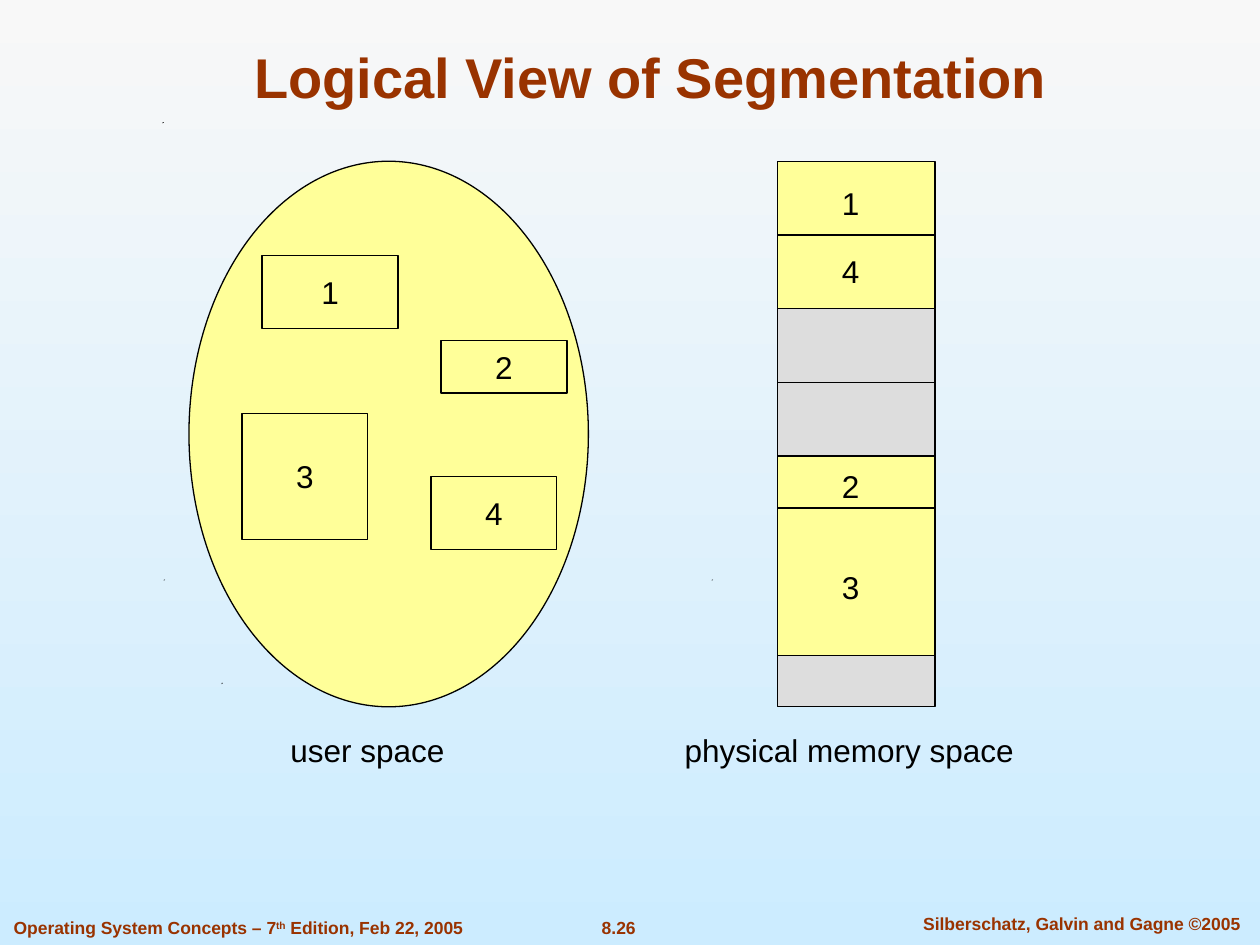
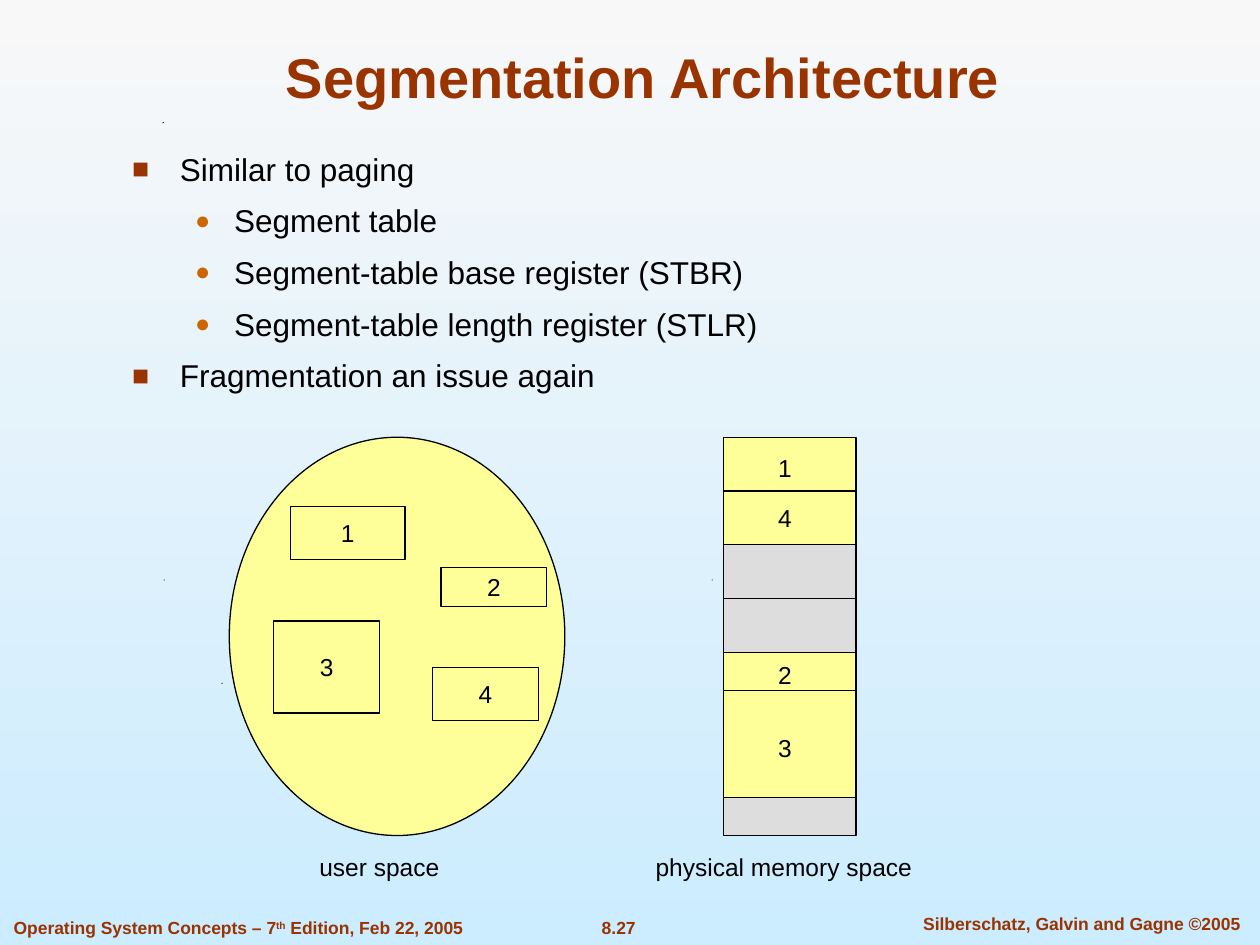
from dataclasses import dataclass
from typing import Optional

import lxml.etree
import pptx
import pptx.dml.color
import pptx.enum.shapes
import pptx.enum.text
import pptx.oxml.ns
import pptx.util

Inches = pptx.util.Inches
Pt = pptx.util.Pt
Align = pptx.enum.text.PP_ALIGN
Anchor = pptx.enum.text.MSO_ANCHOR
Fit = pptx.enum.text.MSO_AUTO_SIZE
Preset = pptx.enum.shapes.MSO_SHAPE

FONT = "Arial"
COLORS = {
    "sky_top": "F8F8F8",
    "sky_bottom": "CCECFF",
    "rust": "993300",
    "orange": "CC6600",
    "ink": "000000",
    "used": "FFFF99",
    "free": "DDDDDD",
}
SPECKS = [(1.76, 5.42), (1.30, 4.60), (5.65, 4.60), (1.29, 0.97)]


@dataclass(frozen=True)
class Segment:
    number: str
    left: float
    top: float
    width: float
    height: float


@dataclass(frozen=True)
class Region:
    top: float
    height: float
    color: str
    divider: Optional[float] = None


@dataclass(frozen=True)
class Label:
    text: str
    center_x: float
    center_y: float
    ems: float


@dataclass(frozen=True)
class Bullet:
    symbol: str
    color: str
    percent: int
    margin: float
    hanging: float


@dataclass(frozen=True)
class Footer:
    text: str
    left: float
    top: float
    width: float
    align: Align


@dataclass(frozen=True)
class View:
    left: float
    top: float
    scale_x: float
    scale_y: float
    size: int

    def x(self, value: float) -> float:
        return self.left + (value - ORIGIN_X) * self.scale_x

    def y(self, value: float) -> float:
        return self.top + (value - ORIGIN_Y) * self.scale_y

    def box(self, left: float, top: float, width: float, height: float) -> list:
        lengths = (self.x(left), self.y(top), width * self.scale_x, height * self.scale_y)
        return [Inches(length) for length in lengths]


ORIGIN_X, ORIGIN_Y = 1.5, 1.28
USER_SPACE = (ORIGIN_X, ORIGIN_Y, 3.17, 4.33)
MEMORY_LEFT, MEMORY_WIDTH = 6.17, 1.25
SEGMENTS = [
    Segment("1", 2.08, 2.03, 1.08, 0.58),
    Segment("3", 1.92, 3.28, 1, 1),
    Segment("2", 3.5, 2.7, 1, 0.42),
    Segment("4", 3.42, 3.78, 1, 0.58),
]
REGIONS = [
    Region(1.28, 1.17, "used", divider=0.5),
    Region(2.45, 1.17, "free", divider=0.5),
    Region(3.62, 1.58, "used", divider=0.26),
    Region(5.2, 0.41, "free"),
]
MEMORY_NUMBERS = {"1": 1.61, "4": 2.15, "2": 3.86, "3": 4.66}
LABELS = [Label(number, 6.75, y, 0.6) for number, y in MEMORY_NUMBERS.items()] + [
    Label("user space ", 2.95, 5.95, 5.4),
    Label("physical memory space", 6.74, 5.95, 11),
]
SQUARE = Bullet("■", "rust", 90, 0.38, 0.38)
DOT = Bullet("●", "orange", 80, 0.81, 0.31)
POINTS = [
    ("Similar to paging", 0),
    ("Segment table", 1),
    ("Segment-table base register (STBR)", 1),
    ("Segment-table length register (STLR)", 1),
    ("Fragmentation an issue again", 0),
]


def rgb(name: str) -> pptx.dml.color.RGBColor:
    return pptx.dml.color.RGBColor.from_string(COLORS[name])


def write(paragraph, text: str, *, size: float, color: str = "ink", bold: bool = False,
          align: Align = Align.LEFT) -> None:
    paragraph.alignment = align
    for index, piece in enumerate(text.split("^")):
        run = paragraph.add_run()
        run.text = piece
        run.font.name = FONT
        run.font.size = Pt(size)
        run.font.bold = bold
        run.font.color.rgb = rgb(color)
        if index % 2:
            run.font._element.set("baseline", "30000")


def add_text(slide, box: list, text: str, *, anchor: Anchor = Anchor.TOP, **style) -> None:
    frame = slide.shapes.add_textbox(*box).text_frame
    frame.word_wrap = True
    frame.auto_size = Fit.NONE
    frame.vertical_anchor = anchor
    write(frame.paragraphs[0], text, **style)


def add_block(slide, preset: Preset, box: list, color: str):
    block = slide.shapes.add_shape(preset, *box)
    block.shadow.inherit = False
    block.fill.solid()
    block.fill.fore_color.rgb = rgb(color)
    block.line.color.rgb = rgb("ink")
    block.line.width = Pt(0.75)
    return block


def add_divider(slide, view: View, region: Region, block) -> None:
    y = Inches(view.y(region.top + region.height * region.divider))
    divider = slide.shapes.add_connector(
        pptx.enum.shapes.MSO_CONNECTOR.STRAIGHT, block.left, y, block.left + block.width, y)
    if region.divider == 0.5:
        divider.begin_connect(block, 1)
        divider.end_connect(block, 3)
    divider.line.color.rgb = rgb("ink")
    divider.line.width = Pt(0.75)
    lxml.etree.SubElement(divider._element.spPr, pptx.oxml.ns.qn("a:effectLst"))


def add_segmentation(slide, view: View) -> None:
    add_block(slide, Preset.OVAL, view.box(*USER_SPACE), "used")
    for segment in SEGMENTS:
        block = add_block(slide, Preset.RECTANGLE, view.box(
            segment.left, segment.top, segment.width, segment.height), "used")
        block.text_frame.word_wrap = False
        block.text_frame.vertical_anchor = Anchor.MIDDLE
        write(block.text_frame.paragraphs[0], segment.number, size=view.size, align=Align.CENTER)
    for region in REGIONS:
        block = add_block(slide, Preset.RECTANGLE, view.box(
            MEMORY_LEFT, region.top, MEMORY_WIDTH, region.height), region.color)
        if region.divider:
            add_divider(slide, view, region, block)
    for label in LABELS:
        width = label.ems * view.size / 72 + 0.2
        height = 1.2 * view.size / 72 + 0.1
        left = view.x(label.center_x) - width / 2
        top = view.y(label.center_y) - height / 2
        add_text(slide, [Inches(length) for length in (left, top, width, height)], label.text,
                 size=view.size, align=Align.CENTER, anchor=Anchor.MIDDLE)


def add_bullet(paragraph, bullet: Bullet) -> None:
    properties = paragraph._p.get_or_add_pPr()
    properties.set("marL", str(Inches(bullet.margin)))
    properties.set("indent", str(-Inches(bullet.hanging)))
    qn = pptx.oxml.ns.qn
    color = lxml.etree.SubElement(properties, qn("a:buClr"))
    lxml.etree.SubElement(color, qn("a:srgbClr"), val=COLORS[bullet.color])
    lxml.etree.SubElement(properties, qn("a:buSzPct"), val=str(bullet.percent * 1000))
    lxml.etree.SubElement(properties, qn("a:buFont"), typeface=FONT)
    lxml.etree.SubElement(properties, qn("a:buChar"), char=bullet.symbol)


def add_points(slide) -> None:
    frame = slide.shapes.add_textbox(Inches(0.95), Inches(1.14), Inches(7.43), Inches(2.2)).text_frame
    frame.word_wrap = True
    for index, (point, level) in enumerate(POINTS):
        paragraph = frame.add_paragraph() if index else frame.paragraphs[0]
        paragraph.level = level
        add_bullet(paragraph, DOT if level else SQUARE)
        if index:
            paragraph.space_before = Pt(7.9)
        write(paragraph, point, size=18)


def add_specks(slide) -> None:
    for x, y in SPECKS:
        builder = slide.shapes.build_freeform(Inches(x), Inches(y + 0.01))
        builder.add_line_segments([(Inches(x + 0.01), Inches(y)), (Inches(x), Inches(y))])
        speck = builder.convert_to_shape()
        speck.shadow.inherit = False
        speck.fill.solid()
        speck.fill.fore_color.rgb = rgb("ink")
        speck.line.fill.background()


def add_page(deck, heading: str, number: str):
    slide = deck.slides.add_slide(deck.slide_layouts.get_by_name("Title Only"))
    title = slide.shapes.title
    title.left, title.top, title.width, title.height = (
        Inches(length) for length in (0.75, 0.25, 8.83, 0.67))
    title.text_frame.auto_size = Fit.NONE
    title.text_frame.vertical_anchor = Anchor.BOTTOM
    write(title.text_frame.paragraphs[0], heading, size=32, color="rust", bold=True,
          align=Align.CENTER)
    add_specks(slide)
    footers = [
        Footer(number, 4.42, 7.23, 0.98, Align.CENTER),
        Footer("Silberschatz, Galvin and Gagne ©2005", 7.1, 7.2, 2.97, Align.CENTER),
        Footer("Operating System Concepts – 7^th^ Edition, Feb 22, 2005",
               0.01, 7.23, 4.2, Align.LEFT),
    ]
    for footer in footers:
        box = [Inches(length) for length in (footer.left, footer.top, footer.width, 0.27)]
        add_text(slide, box, footer.text, size=10, color="rust", bold=True, align=footer.align)
    return slide


def paint_background(master) -> None:
    fill = master.background.fill
    fill.gradient()
    fill.gradient_angle = 270
    for stop, color in zip(fill.gradient_stops, ("sky_top", "sky_bottom")):
        stop.color.rgb = rgb(color)


def main() -> None:
    deck = pptx.Presentation()
    deck.slide_width, deck.slide_height = Inches(10), Inches(7.5)
    paint_background(deck.slide_master)

    logical_view = add_page(deck, "Logical View of Segmentation", "8.26")
    add_segmentation(logical_view, View(1.5, 1.28, 1, 1, 18))

    architecture = add_page(deck, "Segmentation Architecture ", "8.27")
    add_points(architecture)
    add_segmentation(architecture, View(1.82, 3.47, 0.84, 0.73, 14))

    deck.save("out.pptx")


if __name__ == "__main__":
    main()
